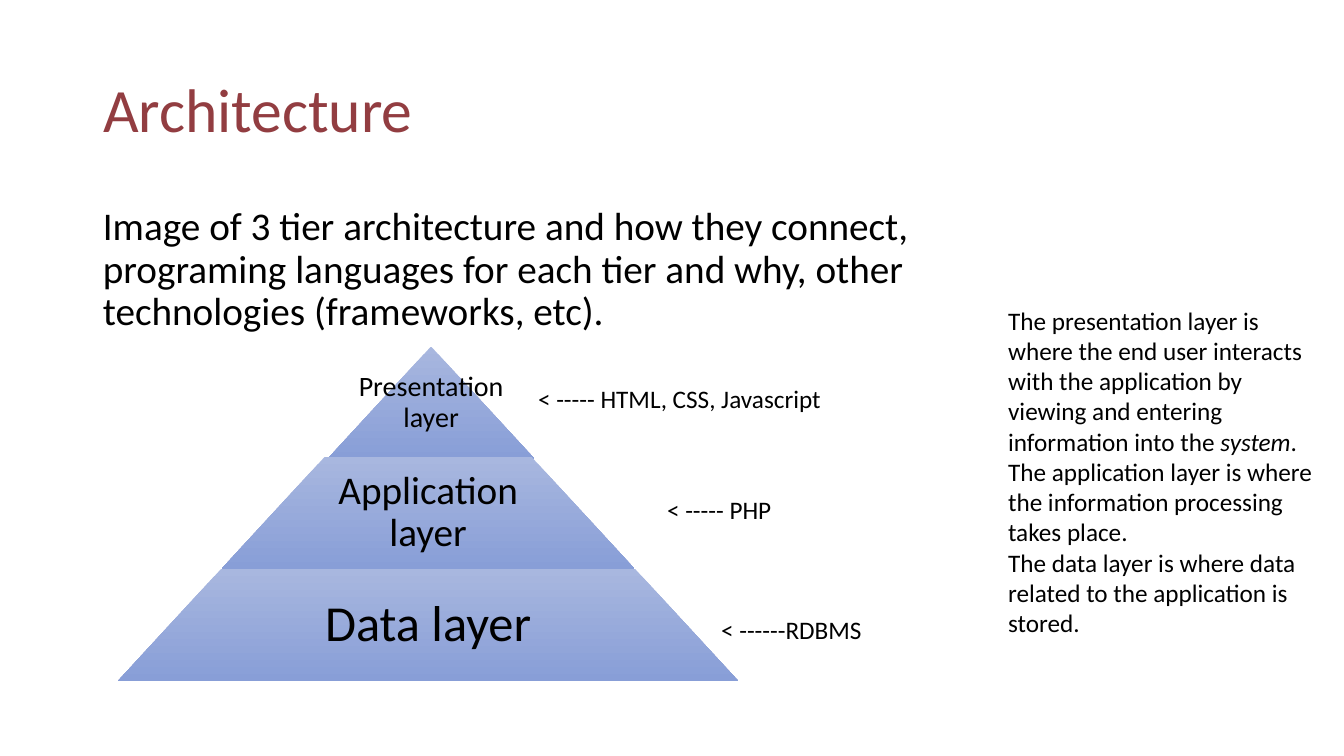
from pptx import Presentation
from pptx.dml.color import RGBColor
from pptx.enum.shapes import MSO_SHAPE
from pptx.enum.text import MSO_ANCHOR, MSO_AUTO_SIZE, PP_ALIGN
from pptx.util import Emu, Inches, Pt

TRAPEZOID = MSO_SHAPE.TRAPEZOID
TOP, MIDDLE = MSO_ANCHOR.TOP, MSO_ANCHOR.MIDDLE
LEFT, CENTER = PP_ALIGN.LEFT, PP_ALIGN.CENTER
NO_FIT = MSO_AUTO_SIZE.NONE

FONT = "Calibri"
MAROON = RGBColor(0x92, 0x3D, 0x41)
BLACK = RGBColor(0, 0, 0)
TIER_LIGHT = RGBColor(0xA8, 0xB7, 0xDF)
TIER_DARK = RGBColor(0x88, 0x9E, 0xD7)

PX = 914400 / 100.8
TIER_HEIGHT = 112
TIER_SLOPE = 0.92

# name, centre x, top, width, text width, text size, text inset
TIERS = [
    ("Presentation layer", 431, 347, 207, 206, 20, 3),
    ("Application layer", 428, 457, 413, 266, 28, 4),
    ("Data layer", 428, 569, 620, 402, 36, 5),
]

# text, left, top, width
TECHNOLOGIES = [
    ("< ----- HTML, CSS, Javascript", 528, 378, 344),
    ("< ----- PHP", 657, 489, 182),
    ("< ------RDBMS", 711, 609, 182),
]

# paragraphs of (text, italic) runs
EXPLANATION = [
    [("The presentation layer is where the end user interacts with the "
      "application by viewing and entering information into the ", False),
     ("system", True), (".", False)],
    [("The application layer is where the information processing "
      "takes place.", False)],
    [("The data layer is where data related to the application is "
      "stored.", False)],
]


def px(n):
    return Emu(round(n * PX))


def write(tf, paragraphs, size, color=BLACK, align=LEFT, anchor=TOP,
          spacing=1.0):
    tf.word_wrap = True
    tf.auto_size = NO_FIT
    tf.vertical_anchor = anchor
    for i, runs in enumerate(paragraphs):
        p = tf.add_paragraph() if i else tf.paragraphs[0]
        p.alignment = align
        p.line_spacing = spacing
        for text, italic in runs:
            r = p.add_run()
            r.text = text
            r.font.name = FONT
            r.font.size = Pt(size)
            r.font.italic = italic
            r.font.color.rgb = color


def add_text(s, box, paragraphs, size, **style):
    tf = s.shapes.add_textbox(*map(px, box)).text_frame
    write(tf, paragraphs, size, **style)
    return tf


def add_title(s, box, text):
    sp = s.shapes.title
    sp.left, sp.top, sp.width, sp.height = map(px, box)
    write(sp.text_frame, [[(text, False)]], 44, color=MAROON,
          anchor=MIDDLE, spacing=0.9)


def add_tier(s, name, center, top, width, text_width, size, inset):
    box = (center - width / 2, top, width, TIER_HEIGHT)
    sp = s.shapes.add_shape(TRAPEZOID, *map(px, box))
    sp.adjustments[0] = TIER_SLOPE
    sp.shadow.inherit = False
    sp.line.fill.background()
    sp.fill.gradient()
    sp.fill.gradient_angle = 270
    for stop, color in zip(sp.fill.gradient_stops, (TIER_LIGHT, TIER_DARK)):
        stop.color.rgb = color

    text_box = (center - text_width / 2, top, text_width, TIER_HEIGHT)
    tf = add_text(s, text_box, [[(name, False)]], size, align=CENTER,
                  anchor=MIDDLE, spacing=0.9)
    tf.margin_left = tf.margin_right = px(inset)
    tf.margin_top = tf.margin_bottom = px(inset)


def main():
    prs = Presentation()
    prs.slide_width, prs.slide_height = Inches(13.33), Inches(7.5)
    s = prs.slides.add_slide(prs.slide_layouts[5])

    # Heading and introduction
    add_title(s, (93, 40, 1159, 146), "Architecture")
    intro = ("Image of 3 tier architecture and how they connect, programing "
             "languages for each tier and why, other technologies "
             "(frameworks, etc).")
    add_text(s, (93, 202, 906, 480), [[(intro, False)]], 28, spacing=0.9)

    # Pyramid of tiers
    for tier in TIERS:
        add_tier(s, *tier)

    # Technology of each tier
    for text, left, top, width in TECHNOLOGIES:
        add_text(s, (left, top, width, 40), [[(text, False)]], 18)

    # Explanation on the right
    add_text(s, (998, 300, 332, 377), EXPLANATION, 18)

    prs.save("out.pptx")


main()
